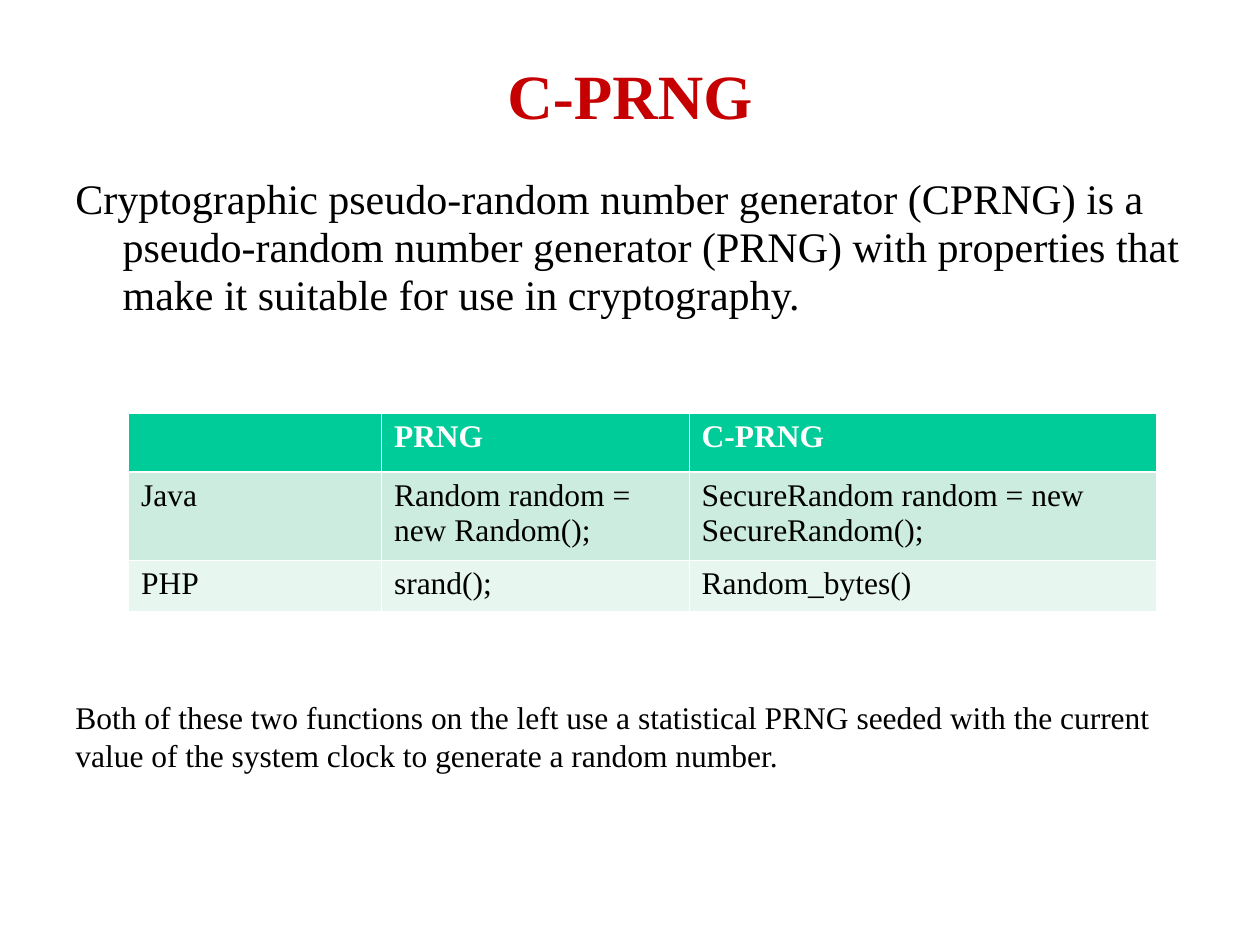
from dataclasses import dataclass
from lxml import etree
from pptx import Presentation
from pptx.dml.color import RGBColor
from pptx.enum.text import MSO_ANCHOR, PP_ALIGN
from pptx.oxml.ns import qn
from pptx.util import Pt

MIDDLE = MSO_ANCHOR.MIDDLE
CENTER = PP_ALIGN.CENTER


@dataclass
class Theme:
    face: str = "Times New Roman"
    red: str = "C60000"
    ink: str = "000000"
    white: str = "FFFFFF"
    bands: tuple = ("00CC99", "CBECDE", "E7F6EF")
    title: int = 36
    body: int = 24
    small: int = 18
    thin: float = 0.45
    thick: float = 1.47


theme = Theme()


def write(frame, text, size, color, bold=False):
    frame.text = text
    para = frame.paragraphs[0]
    for run in para.runs:
        font = run.font
        font.name = theme.face
        font.size = Pt(size)
        font.bold = bold
        font.color.rgb = RGBColor.from_string(color)
    return para


def add_text(left, top, width, height, *style):
    box = slide.shapes.add_textbox(Pt(left), Pt(top), Pt(width), Pt(height))
    box.text_frame.word_wrap = True
    return box.text_frame, write(box.text_frame, *style)


deck = Presentation()
deck.slide_width, deck.slide_height = Pt(720), Pt(540)
slide = deck.slides.add_slide(deck.slide_layouts[6])

frame, para = add_text(54, 24, 612, 60, "C-PRNG", theme.title, theme.red, True)
frame.vertical_anchor = MIDDLE
para.alignment = CENTER

frame, para = add_text(
    36, 97.2, 648, 90,
    "Cryptographic pseudo-random number generator (CPRNG) is a "
    "pseudo-random number generator (PRNG) with properties that "
    "make it suitable for use in cryptography.",
    theme.body, theme.ink)
para.line_spacing = 0.95
props = para._p.get_or_add_pPr()
props.set("marL", str(Pt(27)))
props.set("indent", str(Pt(-27)))

rows = [
    ("", "PRNG", "C-PRNG"),
    ("Java", "Random random = new Random();",
     "SecureRandom random = new SecureRandom();"),
    ("PHP", "srand();", "Random_bytes()"),
]
widths = (144.5, 175.75, 267)
heights = (33.5, 50.4, 29)
grid = slide.shapes.add_table(
    len(rows), len(widths), Pt(73.5), Pt(236.25),
    Pt(sum(widths)), Pt(sum(heights))).table
for col, width in zip(grid.columns, widths):
    col.width = Pt(width)
for i, (row, height) in enumerate(zip(rows, heights)):
    grid.rows[i].height = Pt(height)
    head = i == 0
    edges = {
        "lnL": theme.thin,
        "lnR": theme.thin,
        "lnT": theme.thick if i == 1 else theme.thin,
        "lnB": theme.thick if head else theme.thin,
    }
    for j, text in enumerate(row):
        cell = grid.cell(i, j)
        write(cell.text_frame, text, theme.small,
              theme.white if head else theme.ink, head)
        props = cell._tc.get_or_add_tcPr()
        for tag, width in edges.items():
            line = etree.SubElement(props, qn("a:" + tag), w=str(Pt(width)))
            fill = etree.SubElement(line, qn("a:solidFill"))
            etree.SubElement(fill, qn("a:srgbClr"), val=theme.white)
        cell.fill.solid()
        cell.fill.fore_color.rgb = RGBColor.from_string(theme.bands[i])

add_text(
    36, 395.3, 642, 50.4,
    "Both of these two functions on the left use a statistical PRNG seeded "
    "with the current value of the system clock to generate a random number.",
    theme.small, theme.ink)

deck.save("out.pptx")
